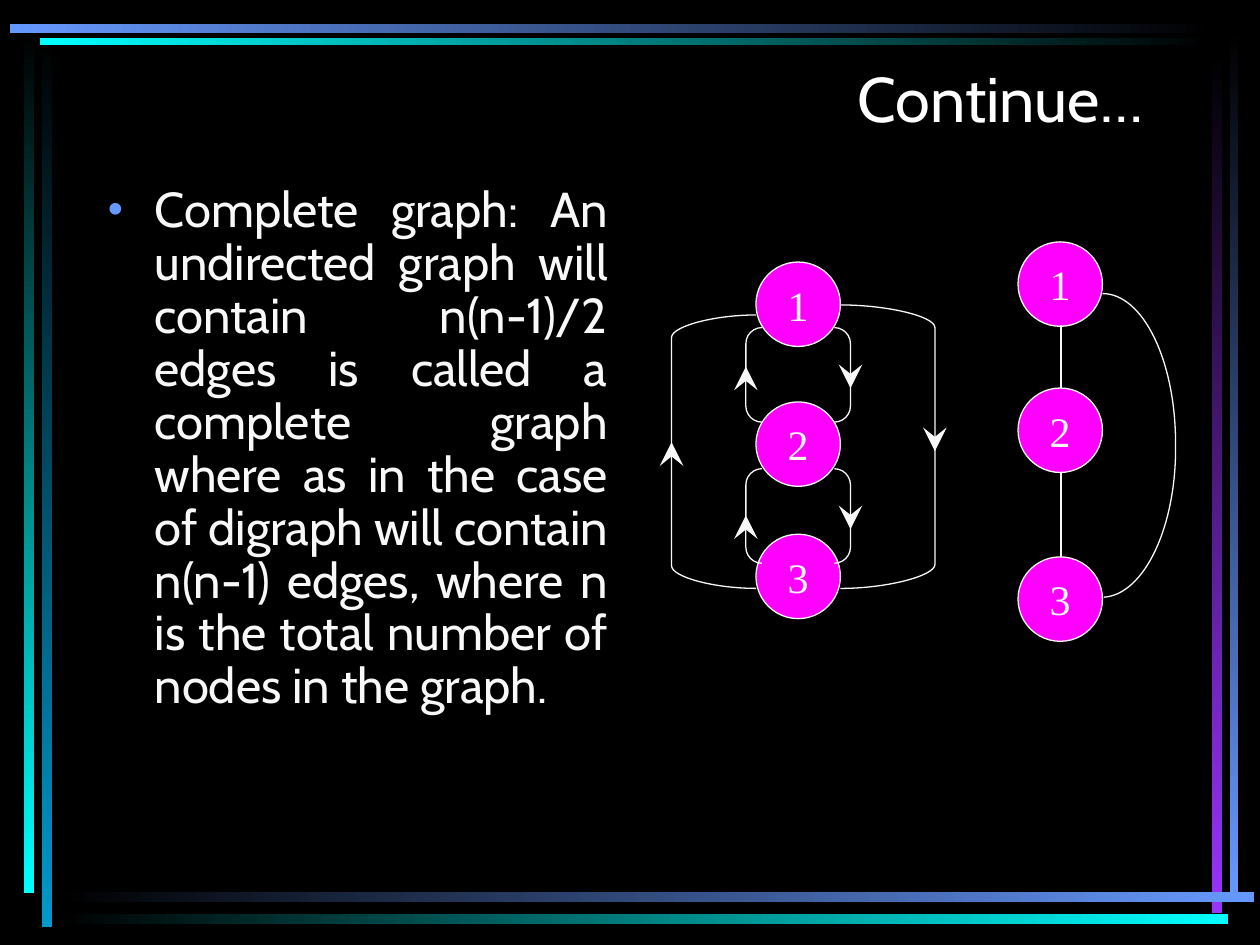
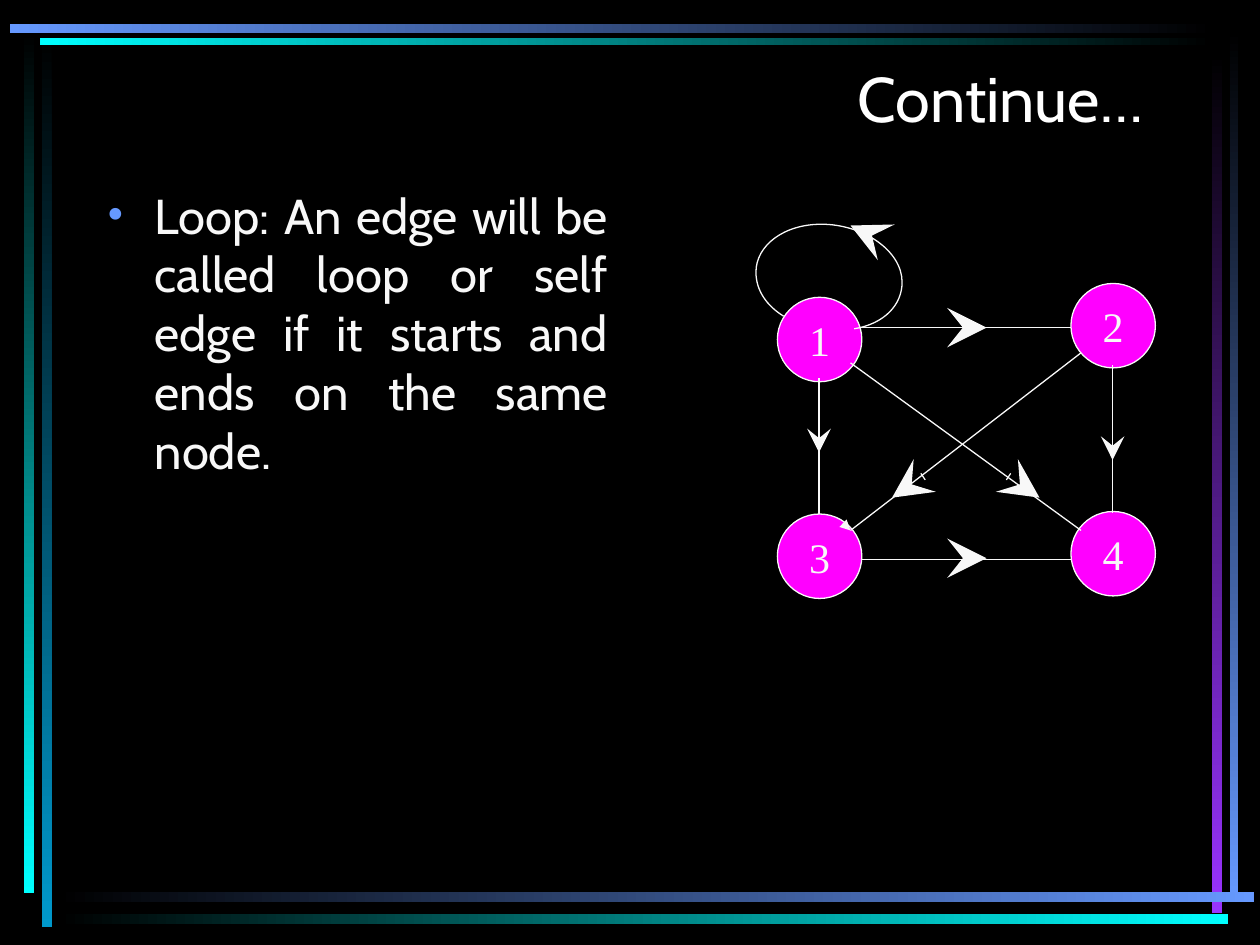
import dataclasses

import pptx
import pptx.dml.color
import pptx.enum.shapes
import pptx.enum.text
import pptx.oxml.ns
import pptx.util
from lxml import etree

Inches = pptx.util.Inches
Pt = pptx.util.Pt
RGB = pptx.dml.color.RGBColor.from_string
Shape = pptx.enum.shapes.MSO_SHAPE
Align = pptx.enum.text.PP_ALIGN
Anchor = pptx.enum.text.MSO_ANCHOR
qn = pptx.oxml.ns.qn


@dataclasses.dataclass(frozen=True)
class Theme:
    background: str = "000000"
    title: str = "FFFFFF"
    ink: str = "F8F8F8"
    node: str = "FF00FF"
    blue: str = "6699FF"
    cyan: str = "00FFFF"
    teal: str = "0099CC"
    purple: str = "9933FF"
    text_font: str = "Cabin"
    node_font: str = "Times New Roman"
    title_size: int = 36
    body_size: int = 28
    node_size: int = 24
    thin: float = 0.75
    heavy: float = 4.5


THEME = Theme()
NODE_SIZE = 0.67
HEAD = 0.16
BODY_INDENT = 0.38

FRAME = [
    ((0.33, 0.28, 0.08, 7.08), "down", THEME.teal),
    ((0.19, 0.25, 0.08, 6.84), "down", THEME.cyan),
    ((9.76, 0.24, 0.07, 6.9), "down", THEME.blue),
    ((9.62, 0.42, 0.08, 6.83), "down", THEME.purple),
    ((0.45, 7.08, 9.5, 0.08), "right", THEME.blue),
    ((0.45, 7.25, 9.3, 0.08), "right", THEME.cyan),
    ((0.32, 0.3, 9.32, 0.06), "left", THEME.cyan),
    ((0.08, 0.19, 9.56, 0.07), "left", THEME.blue),
]
GRADIENT_ANGLES = {"down": 270, "right": 0, "left": 180}

HEAD_STYLES = {
    "heads": (THEME.heavy, {"type": "stealth"}),
    "large_heads": (THEME.heavy, {"type": "stealth", "w": "lg", "len": "lg"}),
    "small_heads": (THEME.thin, {"type": "triangle"}),
}

SLIDES = [
    {
        "title": "Continue…",
        "body": "Complete graph: An undirected graph will contain n(n-1)/2 edges "
                "is called a complete graph where as in the case of digraph will "
                "contain n(n-1) edges, where n is the total number of nodes in the graph.",
        "line_spacing": 0.9,
        "nodes": [("1", 6, 2.08), ("2", 6, 3.19), ("3", 6, 4.24),
                  ("1", 8.08, 1.92), ("2", 8.08, 3.08), ("3", 8.08, 4.42)],
        "brackets": [(5.92, 2.6, 0.83, 0.75), (5.92, 3.72, 0.83, 0.75)],
        "edges": [((8.42, 2.58), (8.42, 3.08)), ((8.42, 3.75), (8.42, 4.42))],
        "curves": [
            [(8.75, 2.33), ((9.07, 2.33), (9.33, 2.86), (9.33, 3.52)),
             ((9.34, 4.18), (9.08, 4.72), (8.76, 4.74))],
            [(6.67, 2.42), ((7.04, 2.42), (7.42, 2.51), (7.42, 2.6)),
             ((7.42, 4.48),), ((7.42, 4.57), (7.04, 4.67), (6.67, 4.67))],
            [(6, 2.5), ((5.67, 2.5), (5.33, 2.59), (5.33, 2.68)),
             ((5.33, 4.49),), ((5.33, 4.58), (5.67, 4.67), (6, 4.67))],
        ],
        "heads": [(6.75, 2.92, 0, HEAD), (6.75, 4.04, 0, HEAD), (7.42, 3.42, 0, HEAD),
                  (5.92, 3.07, 0, -HEAD), (5.92, 4.25, 0, -HEAD), (5.33, 3.67, 0, -HEAD)],
        "large_heads": [],
        "small_heads": [],
    },
    {
        "title": "Continue…",
        "body": "Loop: An edge will be called loop or self edge if it starts and "
                "ends on the same node.",
        "line_spacing": 1.0,
        "nodes": [("1", 6.17, 2.36), ("2", 8.5, 2.25), ("4", 8.5, 4.06), ("3", 6.17, 4.08)],
        "brackets": [],
        "edges": [((6.5, 3), (6.5, 4.08)), ((6.83, 4.44), (8.5, 4.44)),
                  ((8.83, 2.9), (8.83, 4.07)), ((6.83, 2.6), (8.5, 2.6)),
                  ((6.75, 2.88), (8.58, 4.21)), ((6.75, 4.21), (8.58, 2.8))],
        "curves": [
            [(6.78, 2.61), ((7.02, 2.57), (7.16, 2.42), (7.16, 2.24)),
             ((7.16, 1.99), (6.85, 1.78), (6.52, 1.78)),
             ((6.22, 1.78), (6, 1.95), (6, 2.16)),
             ((6, 2.31), (6.09, 2.43), (6.22, 2.51))],
        ],
        "heads": [(8.83, 3.49, 0, HEAD), (6.5, 3.43, 0, HEAD)],
        "large_heads": [(8, 3.78, 0.25, 0.17), (7.33, 3.78, -0.25, 0.17),
                        (6.92, 1.87, -0.17, -0.08),
                        (7.58, 2.6, 0.25, 0), (7.58, 4.43, 0.25, 0)],
        "small_heads": [(6.74, 4.2, 0.01, 0.01)],
    },
]


def assign(target, values):
    for name, value in values.items():
        setattr(target, name, value)


def inches(values):
    return [Inches(value) for value in values]


def write(frame, text, font, size, color, paragraph_format):
    paragraph = frame.paragraphs[0]
    run = paragraph.add_run()
    run.text = text
    assign(run.font, {"name": font, "size": Pt(size)})
    run.font.color.rgb = RGB(color)
    assign(paragraph, paragraph_format)
    return paragraph


def outline(part, width=THEME.thin):
    part.line.color.rgb = RGB(THEME.ink)
    part.line.width = Pt(width)


def add_preset(slide, preset, box):
    part = slide.shapes.add_shape(preset, *inches(box))
    part.shadow.inherit = False
    return part


def build_frame(layout, slide):
    layout.background.fill.solid()
    layout.background.fill.fore_color.rgb = RGB(THEME.background)
    for box, direction, color in FRAME:
        bar = add_preset(slide, Shape.RECTANGLE, box)
        bar.line.fill.background()
        bar.fill.gradient()
        bar.fill.gradient_angle = GRADIENT_ANGLES[direction]
        for stop, stop_color in zip(bar.fill.gradient_stops, (THEME.background, color)):
            stop.color.rgb = RGB(stop_color)
        layout.shapes.element.append(bar.element)


def add_title(slide, text):
    title = slide.shapes.title
    box = inches((0.42, 0.42, 8.75, 0.92))
    assign(title, dict(zip(("left", "top", "width", "height"), box)))
    assign(title.text_frame, {"vertical_anchor": Anchor.TOP,
                              "auto_size": pptx.enum.text.MSO_AUTO_SIZE.NONE})
    write(title.text_frame, text, THEME.text_font, THEME.title_size, THEME.title,
          {"alignment": Align.RIGHT})


def add_body(slide, text, line_spacing):
    body = slide.shapes.add_textbox(*inches((0.75, 1.42, 4.17, 5.08)))
    body.text_frame.word_wrap = True
    paragraph = write(body.text_frame, text, THEME.text_font, THEME.body_size, THEME.ink,
                      {"alignment": Align.JUSTIFY, "line_spacing": line_spacing,
                       "space_before": Pt(7)})
    properties = paragraph._p.get_or_add_pPr()
    properties.set("marL", str(Inches(BODY_INDENT)))
    properties.set("indent", str(-Inches(BODY_INDENT)))
    bullet_color = etree.SubElement(properties, qn("a:buClr"))
    etree.SubElement(bullet_color, qn("a:srgbClr"), val=THEME.blue)
    etree.SubElement(properties, qn("a:buFont"), typeface=THEME.node_font)
    etree.SubElement(properties, qn("a:buChar"), char="•")


def add_node(slide, label, left, top):
    node = add_preset(slide, Shape.OVAL, (left, top, NODE_SIZE, NODE_SIZE))
    node.fill.solid()
    node.fill.fore_color.rgb = RGB(THEME.node)
    outline(node)
    assign(node.text_frame, {"word_wrap": False, "vertical_anchor": Anchor.MIDDLE})
    write(node.text_frame, label, THEME.node_font, THEME.node_size, THEME.ink,
          {"alignment": Align.CENTER})


def add_bracket(slide, box):
    bracket = add_preset(slide, Shape.DOUBLE_BRACKET, box)
    bracket.adjustments[0] = 0.17
    bracket.fill.background()
    outline(bracket)


def add_edge(slide, start, end, width=THEME.thin, head=None):
    edge = slide.shapes.add_connector(pptx.enum.shapes.MSO_CONNECTOR.STRAIGHT,
                                      *inches((*start, *end)))
    outline(edge, width)
    properties = edge.element.spPr
    if head:
        etree.SubElement(properties.find(qn("a:ln")), qn("a:tailEnd"), head)
    etree.SubElement(properties, qn("a:effectLst"))


def add_curve(slide, start, *segments):
    builder = slide.shapes.build_freeform(*inches(start))
    builder.add_line_segments([inches(point) for segment in segments for point in segment],
                              close=False)
    curve = builder.convert_to_shape()
    curve.shadow.inherit = False
    curve.fill.background()
    outline(curve)
    steps = iter(list(curve.element.iter(qn("a:lnTo"))))
    for segment in segments:
        group = [next(steps) for _ in segment]
        if len(group) == 3:
            bend = etree.Element(qn("a:cubicBezTo"))
            group[0].addprevious(bend)
            for step in group:
                bend.append(step[0])
                step.getparent().remove(step)


def build_slide(slide, content):
    add_title(slide, content["title"])
    add_body(slide, content["body"], content["line_spacing"])
    for node in content["nodes"]:
        add_node(slide, *node)
    for box in content["brackets"]:
        add_bracket(slide, box)
    for start, end in content["edges"]:
        add_edge(slide, start, end)
    for curve in content["curves"]:
        add_curve(slide, *curve)
    for group, (width, head) in HEAD_STYLES.items():
        for x, y, dx, dy in content[group]:
            add_edge(slide, (x, y), (x + dx, y + dy), width, head)


def main():
    deck = pptx.Presentation()
    assign(deck, {"slide_width": Inches(10), "slide_height": Inches(7.5)})
    layout = deck.slide_layouts.get_by_name("Title Only")
    slides = [deck.slides.add_slide(layout) for _ in SLIDES]
    build_frame(layout, slides[0])
    for slide, content in zip(slides, SLIDES):
        build_slide(slide, content)
    deck.save("out.pptx")


if __name__ == "__main__":
    main()
